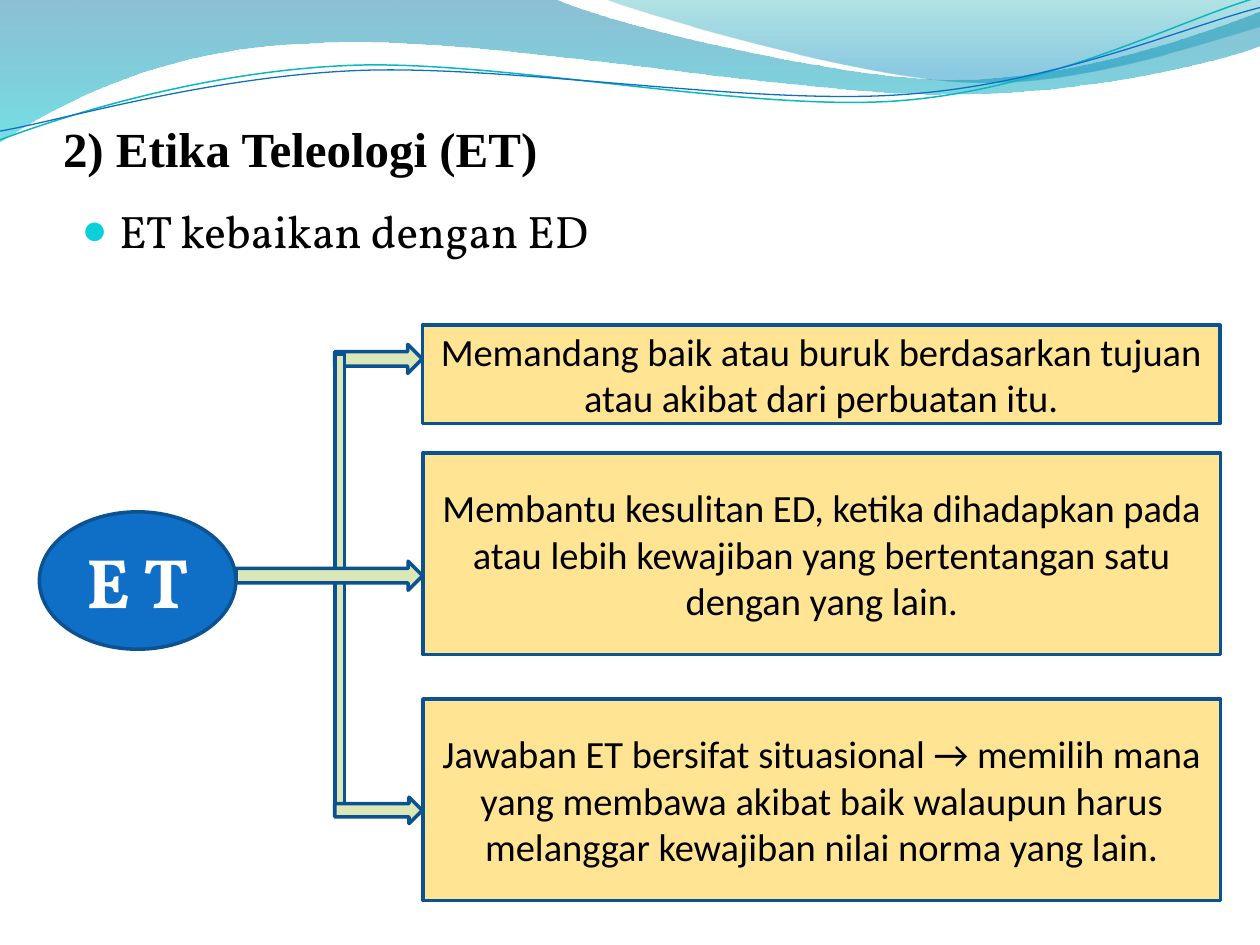
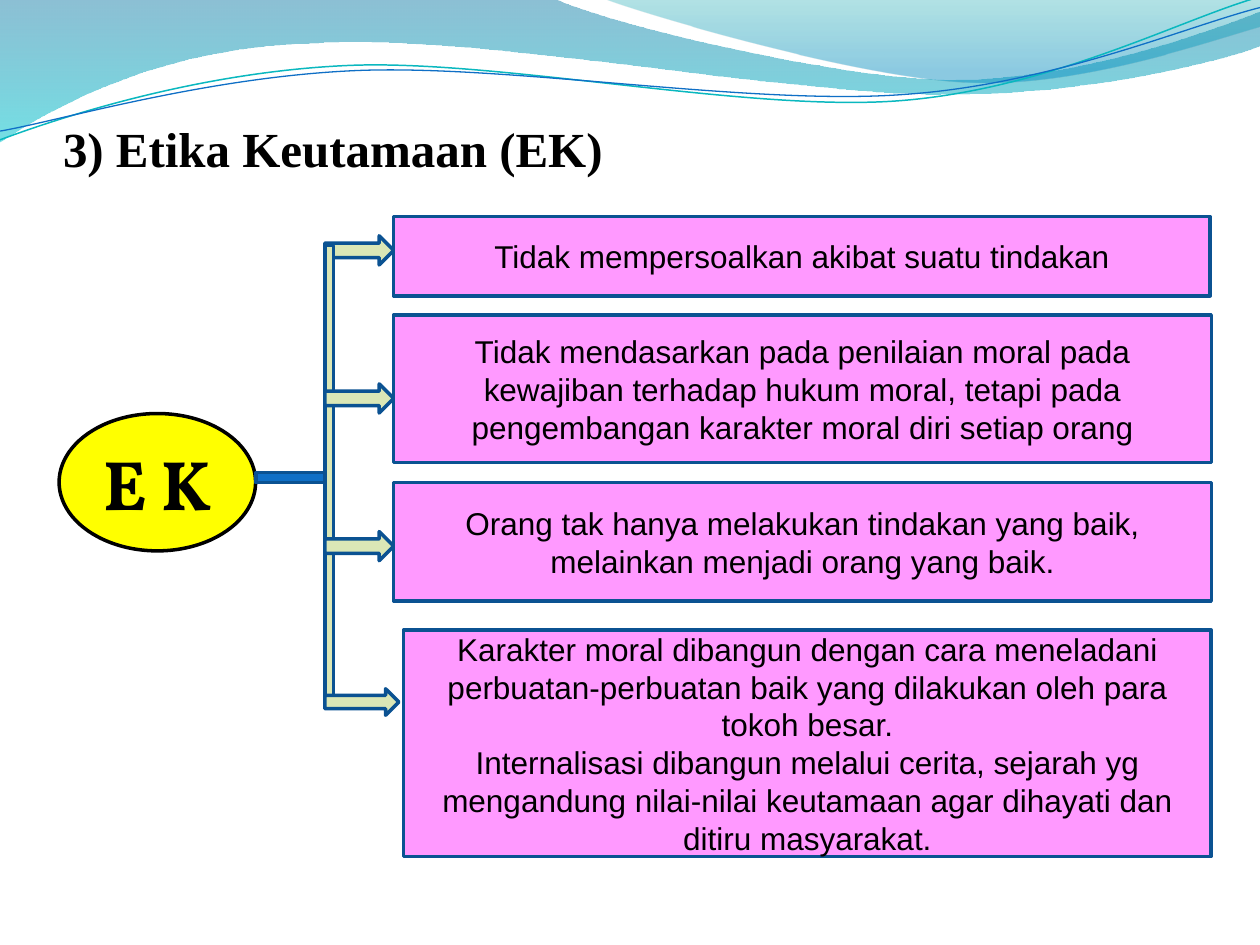
from dataclasses import dataclass
from math import cos, radians, sin

from lxml import etree
from pptx import Presentation
from pptx.dml.color import RGBColor
from pptx.enum.shapes import MSO_SHAPE
from pptx.enum.text import MSO_ANCHOR, MSO_AUTO_SIZE, PP_ALIGN
from pptx.oxml.ns import qn
from pptx.util import Pt

ARROW = MSO_SHAPE.RIGHT_ARROW
BAR = MSO_SHAPE.RECTANGLE
CARD = MSO_SHAPE.SNIP_1_RECTANGLE
OVAL = MSO_SHAPE.OVAL
LEFT, CENTER = PP_ALIGN.LEFT, PP_ALIGN.CENTER
TOP, MIDDLE, BOTTOM = MSO_ANCHOR.TOP, MSO_ANCHOR.MIDDLE, MSO_ANCHOR.BOTTOM
NO_FIT = MSO_AUTO_SIZE.NONE
TILT = 2.7


@dataclass(frozen=True)
class Theme:
    """Colours, fonts and type sizes of the deck."""
    black: str = "000000"
    white: str = "FFFFFF"
    blue: str = "0F6FC6"
    edge: str = "0B5292"
    pale: str = "DBE7B6"
    gold: str = "FFC000"
    pink: str = "FF99FF"
    yellow: str = "FFFF00"
    teal: str = "0AB8BF"
    dot: str = "0BD0D9"
    head: tuple = ("Times New Roman", 28)
    lead: tuple = ("Vollkorn", 26)
    hub: tuple = ("Vollkorn", 40)
    large: tuple = ("Calibri", 22)
    small: tuple = ("Arial", 18)


THEME = Theme()

BANDS = [
    ([(0, 0), (316.8, -0.7), (342.7, 12.2, 478.1, 45.4, 545.8, 45.4),
      (614.2, 45.4, 689.8, 18.7, 720, 6.5), (720.7, 25.9),
      (707.8, 31.7, 626.4, 54.7, 537.1, 54), (447.8, 54, 275, 20.2, 185, 24.5),
      (92.9, 25.9, 33.1, 59.8, -0.7, 81.4), (0, 0)],
     [(0, "0074A1", 45), (1, "00C6CF", 55)]),
    ([(344.9, -0.7), (366.5, 7.9, 491, 44.6, 553.7, 46.8),
      (616.3, 49.7, 691.9, 23, 720, 15.1), (720, 0), (344.9, -0.7)],
     [(0, "00A1A9", 30), (0.8, "008BBF", 45)]),
]
CURVES = [
    ([(0, 79.9), (34.6, 67, 113.8, 41, 199.4, 37.4),
      (284.4, 33.8, 427, 64.1, 513.4, 57.6),
      (599.8, 51.1, 675.4, 10.8, 718.6, -1.4)], THEME.teal, 0.85, 41.4),
    ([(0, 74.9), (33.8, 69.1, 118.1, 43.9, 203.8, 40.3),
      (290.2, 36.7, 429.8, 60.5, 516.2, 54),
      (601.9, 48.2, 677.5, 15.1, 720, 4.3)], THEME.blue, 0.75, 42.5),
]


def rgb(code):
    """Turn a hex code into a colour."""
    return RGBColor.from_string(code)


def fade(shape, *levels):
    """Set the opacity, in percent, of the fill colours in turn."""
    for color, level in zip(shape.element.spPr.iter(qn("a:srgbClr")), levels):
        etree.SubElement(color, qn("a:alpha")).set("val", str(level * 1000))


def turn(step, middle):
    """Rotate the points of a step clockwise around the middle."""
    c, s = cos(radians(TILT)), sin(radians(TILT))
    result = []
    for x, y in zip(step[::2], step[1::2]):
        dx, dy = x - middle[0], y - middle[1]
        result += [middle[0] + c * dx - s * dy, middle[1] + s * dx + c * dy]
    return tuple(result)


def outline(holder, steps, close):
    """Build a freeform; a step is a line point or three Bezier points."""
    first, *rest = [(Pt(x), Pt(y)) for step in steps
                    for x, y in zip(step[::2], step[1::2])]
    builder = holder.shapes.build_freeform(*first)
    builder.add_line_segments(rest, close=close)
    shape = builder.convert_to_shape()
    shape.shadow.inherit = False
    nodes = iter(list(shape.element.spPr.iter(qn("a:lnTo"))))
    for step in steps[1:]:
        node = next(nodes)
        if len(step) == 6:
            curve = etree.Element(qn("a:cubicBezTo"))
            node.addprevious(curve)
            for old in (node, next(nodes), next(nodes)):
                curve.append(old[0])
                old.getparent().remove(old)
    return shape


def add_band(holder, steps, stops):
    """Draw a see-through wave with a downward gradient."""
    shape = outline(holder, steps, True)
    shape.line.fill.background()
    shape.fill.gradient()
    shape.fill.gradient_angle = 270
    for stop, (place, color, _) in zip(shape.fill.gradient_stops, stops):
        stop.position = place
        stop.color.rgb = rgb(color)
    fade(shape, *[level for _, _, level in stops])
    return shape


def add_curve(holder, steps, color, width, level):
    """Draw a thin open curve in a tilted frame."""
    steps = [turn(step, (359.3, level)) for step in steps]
    shape = outline(holder, steps, False)
    shape.rotation = -TILT
    shape.fill.background()
    shape.line.color.rgb = rgb(color)
    shape.line.width = Pt(width)


def add_waves(slide, master):
    """Draw the waves and hand them to the master that slides share."""
    waves = [add_band(slide, *band) for band in BANDS]
    pair = slide.shapes.add_group_shape()
    for curve in CURVES:
        add_curve(pair, *curve)
    for place, wave in enumerate(waves + [pair], 2):
        for number, node in enumerate(wave.element.iter(qn("p:cNvPr"))):
            node.set("id", str(place * 10 + number))
        master.shapes.element.insert(place, wave.element)


def write(shape, lines, style, color, align=CENTER, anchor=MIDDLE, bold=False):
    """Fill a shape with evenly styled paragraphs."""
    frame = shape.text_frame
    frame.text = "\n".join(lines)
    frame.word_wrap = True
    frame.auto_size = NO_FIT
    frame.vertical_anchor = anchor
    for para in frame.paragraphs:
        para.alignment = align
        para.font.name, size = style
        para.font.size = Pt(size)
        para.font.bold = bold
        para.font.color.rgb = rgb(color)
    return frame


def add_block(holder, kind, box, fill=THEME.pale, edge=THEME.edge):
    """Add a filled and outlined preset shape."""
    shape = holder.shapes.add_shape(kind, *map(Pt, box))
    shape.shadow.inherit = False
    shape.fill.solid()
    shape.fill.fore_color.rgb = rgb(fill)
    shape.line.color.rgb = rgb(edge)
    shape.line.width = Pt(2)
    return shape


def add_card(holder, box, lines, fill, style, level=None):
    """Add a text card, see-through if a level is given."""
    card = add_block(holder, CARD, box, fill)
    card.adjustments[0] = 0
    if level:
        fade(card, level)
    write(card, lines, style, THEME.black)


def add_hub(holder, left, top, text, fill, edge, color):
    """Add the oval that the branches start from."""
    hub = add_block(holder, OVAL, (left, top, 112.3, 78.5), fill, edge)
    write(hub, [text], THEME.hub, color, bold=True)


def add_tree(holder, trunk, arrows):
    """Draw the trunk over the first arrow and under the others."""
    first, *rest = arrows
    add_block(holder, ARROW, first)
    add_block(holder, BAR, trunk)
    for arrow in rest:
        add_block(holder, ARROW, arrow)


def add_lead(slide, text):
    """Add the bulleted lead line."""
    box = slide.shapes.add_textbox(Pt(39.6), Pt(112.3), Pt(648), Pt(345.6))
    para = write(box, [text], THEME.lead, THEME.black, LEFT, TOP).paragraphs[0]
    para.space_before = Pt(5.2)
    props = para._p.get_or_add_pPr()
    props.set("marL", str(Pt(21.6)))
    props.set("indent", str(-Pt(21.6)))
    font = props.find(qn("a:defRPr"))
    tint = etree.Element(qn("a:buClr"))
    etree.SubElement(tint, qn("a:srgbClr")).set("val", THEME.dot)
    font.addprevious(tint)
    for tag, key, value in (("a:buSzPct", "val", "95000"),
                            ("a:buFont", "typeface", "Arial"),
                            ("a:buChar", "char", "●")):
        node = etree.Element(qn(tag))
        node.set(key, value)
        font.addprevious(node)


def add_page(deck, title):
    """Add a slide with its title in place."""
    slide = deck.slides.add_slide(deck.slide_layouts[5])
    head = slide.shapes.title
    head.left, head.top, head.width, head.height = map(Pt, (36, 55.4, 648, 46.1))
    frame = write(head, [title], THEME.head, THEME.black, LEFT, BOTTOM, True)
    frame.margin_left = frame.margin_right = frame.margin_bottom = 0
    frame.margin_top = Pt(3.6)
    return slide


def add_goals(deck):
    """Build the slide on teleology."""
    slide = add_page(deck, "2) Etika Teleologi (ET)")
    add_lead(slide, "ET kebaikan dengan ED")
    group = slide.shapes.add_group_shape()
    cards = [
        (241.4, 185.8, 56.2, "Memandang baik atau buruk berdasarkan tujuan "
         "atau akibat dari perbuatan itu."),
        (241.7, 258.8, 115.2, "Membantu kesulitan ED, ketika dihadapkan pada "
         "atau lebih kewajiban yang bertentangan satu dengan yang lain."),
        (241.7, 399.4, 115.2, "Jawaban ET bersifat situasional → memilih mana "
         "yang membawa akibat baik walaupun harus melanggar kewajiban nilai "
         "norma yang lain."),
    ]
    for left, top, height, text in cards:
        add_card(group, (left, top, 455.8, height), [text], THEME.gold,
                 THEME.large, 42)
    add_tree(group, (191.3, 202.3, 5.6, 258.5), [
        (191.3, 196.8, 50, 16.6),
        (191.3, 455.5, 50, 15.1),
        (134.9, 320.7, 106.6, 16.6)])
    add_hub(group, 22.5, 292.5, "E T", THEME.blue, THEME.edge, THEME.white)
    return slide


def add_virtues(deck):
    """Build the slide on virtue."""
    slide = add_page(deck, "3) Etika Keutamaan (EK)")
    group = slide.shapes.add_group_shape()
    arrows = [(185.6, top, 39.4, 16.6) for top in (134.8, 219.4, 303.8)]
    add_tree(group, (185.6, 140.4, 4.9, 258.5),
             arrows + [(185.6, 393.6, 42.3, 15.1)])
    add_hub(group, 33.8, 236.3, "E K", THEME.yellow, THEME.black, THEME.black)
    add_block(group, BAR, (146.2, 270, 39.4, 5.8), THEME.blue)
    cards = [
        (224.9, 123.8, 466.6, 45.2, [
            "Tidak mempersoalkan akibat suatu tindakan"]),
        (224.9, 180, 467.3, 84.2, [
            "Tidak mendasarkan pada penilaian moral pada kewajiban terhadap "
            "hukum moral, tetapi pada pengembangan karakter moral diri setiap "
            "orang"]),
        (224.9, 275.8, 467.3, 67.5, [
            "Orang tak hanya melakukan tindakan yang baik, melainkan menjadi "
            "orang yang baik."]),
        (230.6, 360, 461.5, 129.4, [
            "Karakter moral dibangun dengan cara meneladani "
            "perbuatan-perbuatan baik yang dilakukan oleh para tokoh besar.",
            "Internalisasi dibangun melalui cerita, sejarah yg mengandung "
            "nilai-nilai keutamaan agar dihayati dan ditiru masyarakat."]),
    ]
    for *box, lines in cards:
        add_card(group, box, lines, THEME.pink, THEME.small)


def main():
    """Build and save the deck."""
    deck = Presentation()
    deck.slide_width, deck.slide_height = Pt(720), Pt(540)
    add_waves(add_goals(deck), deck.slide_master)
    add_virtues(deck)
    deck.save("out.pptx")


if __name__ == "__main__":
    main()
